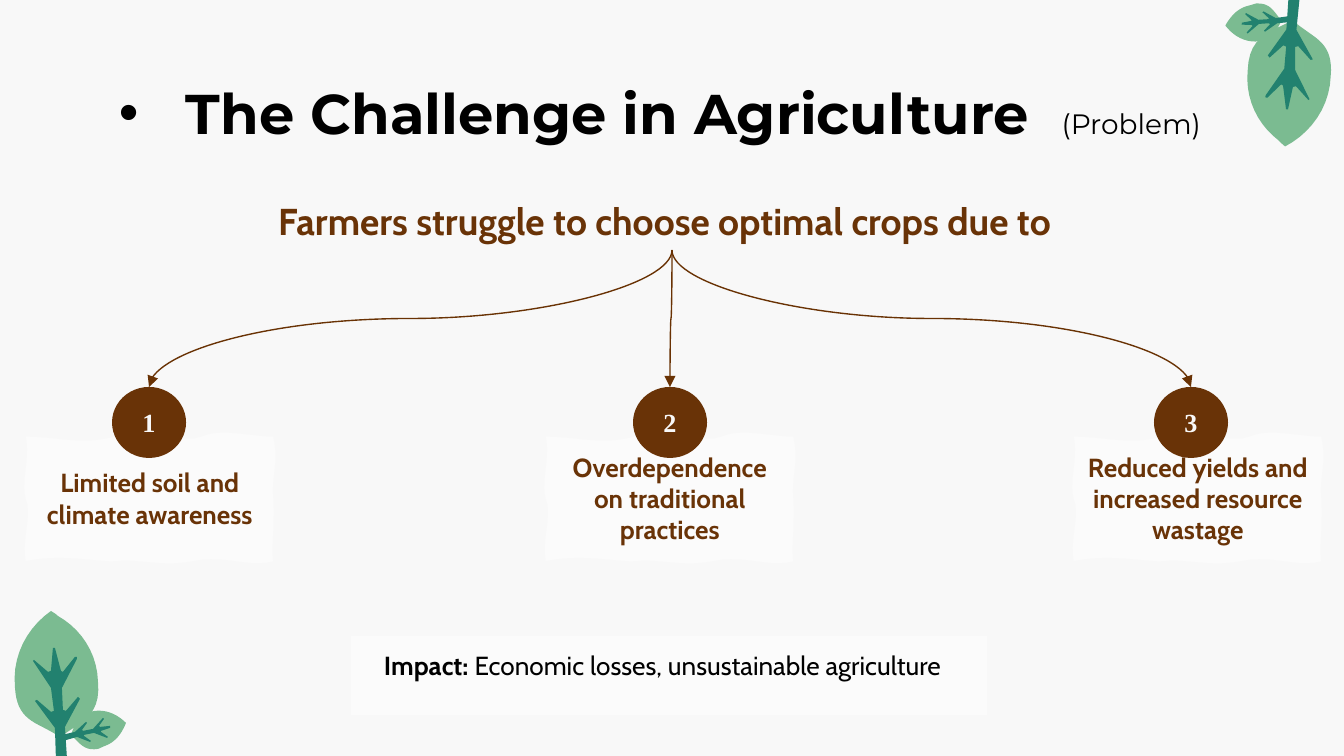
"""Build the slide on the challenge in agriculture."""
from math import cos, radians, sin

from lxml import etree
from pptx import Presentation
from pptx.dml.color import RGBColor
from pptx.enum.shapes import MSO_CONNECTOR, MSO_SHAPE
from pptx.enum.text import MSO_ANCHOR, PP_ALIGN
from pptx.oxml.ns import qn
from pptx.util import Pt

CURVE = MSO_CONNECTOR.CURVE
OVAL, RECTANGLE = MSO_SHAPE.OVAL, MSO_SHAPE.RECTANGLE
TOP, MIDDLE = MSO_ANCHOR.TOP, MSO_ANCHOR.MIDDLE
LEFT, CENTER = PP_ALIGN.LEFT, PP_ALIGN.CENTER
EMU_PER_PX = 914400 / 134.4
CURVE_STEPS = 10

PAPER, WHITE, BLACK = "F8F8F8", "FFFFFF", "000000"
BROWN, ARROW_BROWN = "693307", "693204"
LEAF_GREEN, VEIN_GREEN = "7BBB91", "22816F"

SPRIG_CENTER = (59, 678)
SPRIG = [
    (LEAF_GREEN, [
        (58, 616), (81, 629, 97, 653, 98, 681), (101, 714, 85, 720, 60, 737),
        (51, 731, 42, 727, 35, 723), (23, 716, 16, 707, 15, 687),
        (12, 656, 27, 628, 51, 611), (54, 613, 56, 614, 58, 616)]),
    (VEIN_GREEN, [
        (77, 657), (77, 659), (62, 688), (63, 710), (66, 711), (78, 697),
        (80, 699), (65, 727), (67, 758), (56, 759), (55, 728), (35, 701),
        (37, 700), (51, 712), (54, 711), (51, 688), (33, 661), (34, 660),
        (48, 672), (51, 671), (53, 648), (55, 648), (61, 671), (63, 672),
        (75, 657)]),
    (LEAF_GREEN, [
        (105, 746), (102, 747, 101, 748, 98, 749), (85, 751, 81, 745, 71, 735),
        (75, 724, 77, 718, 85, 714), (86, 713, 88, 712, 90, 712),
        (104, 708, 117, 714, 126, 723), (122, 733, 116, 742, 105, 746)]),
    (VEIN_GREEN, [
        (107, 738), (94, 733), (84, 735), (84, 736), (91, 741), (90, 742),
        (77, 737), (63, 741), (62, 735), (75, 732), (86, 722), (87, 723),
        (82, 730), (83, 731), (93, 729), (103, 718), (104, 719), (99, 726),
        (100, 727), (110, 726), (110, 728), (101, 731), (101, 732),
        (108, 737)]),
]
WAVY_CARD = [
    (0, 0), (35, 0, 56, 9, 89, 0), (121, -10, 157, 8, 176, 0),
    (195, -9, 227, 0, 249, 0), (255, 27, 247, 40, 249, 62),
    (251, 83, 247, 110, 249, 126), (224, 133, 199, 119, 168, 126),
    (138, 132, 110, 123, 91, 126), (71, 127, 38, 118, 0, 126),
    (-4, 101, 7, 79, 0, 63), (-5, 46, 5, 21, 0, 0)]
CAUSES = [
    (25, "Limited soil and climate awareness"),
    (545, "Overdependence on traditional practices"),
    (1073, "Reduced yields and increased resource wastage"),
]
CARD_TOP = 436
HUB = (672, 250)
BADGE_LEFT, BADGE_STEP, BADGE_TOP = 112, 521, 387
BADGE_SIZE = (74, 71)


def px(length):
    return round(length * EMU_PER_PX)


def color(hex_code):
    return RGBColor.from_string(hex_code)


def flatten(outline):
    points = [outline[0]]
    for segment in outline[1:]:
        if len(segment) == 2:
            points.append(segment)
            continue
        controls = [points[-1], segment[:2], segment[2:4], segment[4:]]
        for step in range(1, CURVE_STEPS + 1):
            t = step / CURVE_STEPS
            weights = ((1 - t) ** 3, 3 * t * (1 - t) ** 2,
                       3 * t ** 2 * (1 - t), t ** 3)
            points.append(tuple(
                sum(w * point[axis] for w, point in zip(weights, controls))
                for axis in (0, 1)))
    return points


class SlideBuilder:
    def __init__(self, slide):
        self.shapes = slide.shapes
        self.font = "Cabin"
        slide.background.fill.solid()
        slide.background.fill.fore_color.rgb = color(PAPER)

    def paint(self, shape, fill, alpha=None, line=None):
        shape.shadow.inherit = False
        shape.fill.solid()
        shape.fill.fore_color.rgb = color(fill)
        if alpha:
            tint = shape.element.spPr.find(".//" + qn("a:srgbClr"))
            etree.SubElement(tint, qn("a:alpha"), val=str(alpha * 1000))
        if line:
            shape.line.color.rgb = color(line)
            shape.line.width = Pt(0.75)
        else:
            shape.line.fill.background()
        return shape

    def set_text(self, shape, runs, size, ink, bold=None, font=None,
                 align=LEFT, anchor=TOP, inset=None, margin=0, bullet=None):
        frame = shape.text_frame
        frame.word_wrap = True
        frame.vertical_anchor = anchor
        if inset:
            frame.margin_left = frame.margin_right = px(inset)
            frame.margin_top = frame.margin_bottom = px(inset)
        paragraph = frame.paragraphs[0]
        paragraph.alignment = align
        properties = paragraph._p.get_or_add_pPr()
        properties.set("marL", str(px(margin)))
        properties.set("indent", str(px(-margin if bullet else 0)))
        if bullet:
            etree.SubElement(properties, qn("a:buFont"), typeface="Arial")
            etree.SubElement(properties, qn("a:buChar"), char=bullet)
        paragraph.font.name = font or self.font
        paragraph.font.size = Pt(size)
        paragraph.font.color.rgb = color(ink)
        paragraph.font.bold = bold
        for words, run_bold, run_size, spacing in runs:
            run = paragraph.add_run()
            run.text = words
            if run_bold is not None:
                run.font.bold = run_bold
            if run_size:
                run.font.size = Pt(run_size)
            if spacing:
                run.font._element.set("spc", str(spacing))

    def text(self, box, runs, size, ink, **style):
        self.set_text(self.shapes.add_textbox(*map(px, box)), runs, size, ink, **style)

    def panel(self, box, runs, size, ink, **style):
        shape = self.shapes.add_shape(RECTANGLE, *map(px, box))
        self.set_text(self.paint(shape, WHITE, alpha=50), runs, size, ink, **style)

    def outline(self, points, fill, **look):
        corners = [(px(x), px(y)) for x, y in points]
        builder = self.shapes.build_freeform(*corners[0], scale=1.0)
        builder.add_line_segments(corners[1:], close=True)
        return self.paint(builder.convert_to_shape(), fill, **look)

    def sprig(self, center, degrees):
        c, s = cos(radians(degrees)), sin(radians(degrees))
        for fill, part in SPRIG:
            offsets = [(x - SPRIG_CENTER[0], y - SPRIG_CENTER[1])
                       for x, y in flatten(part)]
            self.outline([(center[0] + x * c - y * s, center[1] + x * s + y * c)
                          for x, y in offsets], fill)

    def card(self, left, top, words):
        points = [(left + x, top + y) for x, y in flatten(WAVY_CARD)]
        shape = self.outline(points, WHITE, alpha=50, line=PAPER)
        self.set_text(shape, [(words, None, None, None)], 14, BROWN, bold=True,
                      align=CENTER, anchor=MIDDLE)

    def badge(self, left, top, number):
        shape = self.shapes.add_shape(OVAL, *map(px, (left, top, *BADGE_SIZE)))
        self.set_text(self.paint(shape, BROWN), [(str(number), None, None, None)],
                      14, PAPER, bold=True, font="Times New Roman",
                      align=CENTER, anchor=MIDDLE)

    def falling_curve(self, start, end):
        middle_x, middle_y = (start[0] + end[0]) / 2, (start[1] + end[1]) / 2
        half_span = abs(end[0] - start[0]) / 2
        side = 1 if end[0] > start[0] else -1
        half_drop = side * (end[1] - start[1]) / 2
        arrow = self.shapes.add_connector(
            CURVE, px(middle_x + half_drop), px(middle_y - half_span),
            px(middle_x - half_drop), px(middle_y + half_span))
        arrow.line.color.rgb = color(ARROW_BROWN)
        arrow.line.width = Pt(0.75)
        properties = arrow.element.spPr
        turn = 270 if side == 1 else 90
        properties.find(qn("a:xfrm")).set("rot", str(turn * 60000))
        etree.SubElement(properties.find(qn("a:ln")), qn("a:tailEnd"), type="triangle")
        etree.SubElement(properties, qn("a:effectLst"))


def main():
    deck = Presentation()
    deck.slide_width, deck.slide_height = px(1344), px(756)
    builder = SlideBuilder(deck.slides.add_slide(deck.slide_layouts[6]))

    builder.sprig((1286, 79), 187.5)
    builder.sprig(SPRIG_CENTER, 0)
    builder.text(
        (106, 66, 1133, 85),
        [("The Challenge in Agriculture", True, 30, None),
         (" ", True, 30, 860), ("(Problem)", False, 15, None)],
        30, BLACK, font="Montserrat", inset=13, margin=67, bullet="•")
    builder.panel(
        (351, 636, 636, 79),
        [("Impact: ", True, None, None),
         ("Economic losses, unsustainable agriculture", False, None, None)],
        14, BLACK, inset=13, margin=20)
    builder.text(
        (265, 192, 816, 59),
        [("Farmers struggle to choose optimal crops due to", None, None, None)],
        20, BROWN, bold=True)

    for index, (card_left, cause) in enumerate(CAUSES):
        badge_left = BADGE_LEFT + index * BADGE_STEP
        builder.card(card_left, CARD_TOP, cause)
        builder.falling_curve(HUB, (badge_left + BADGE_SIZE[0] / 2, BADGE_TOP))
        builder.badge(badge_left, BADGE_TOP, index + 1)
    deck.save("out.pptx")


if __name__ == "__main__":
    main()
